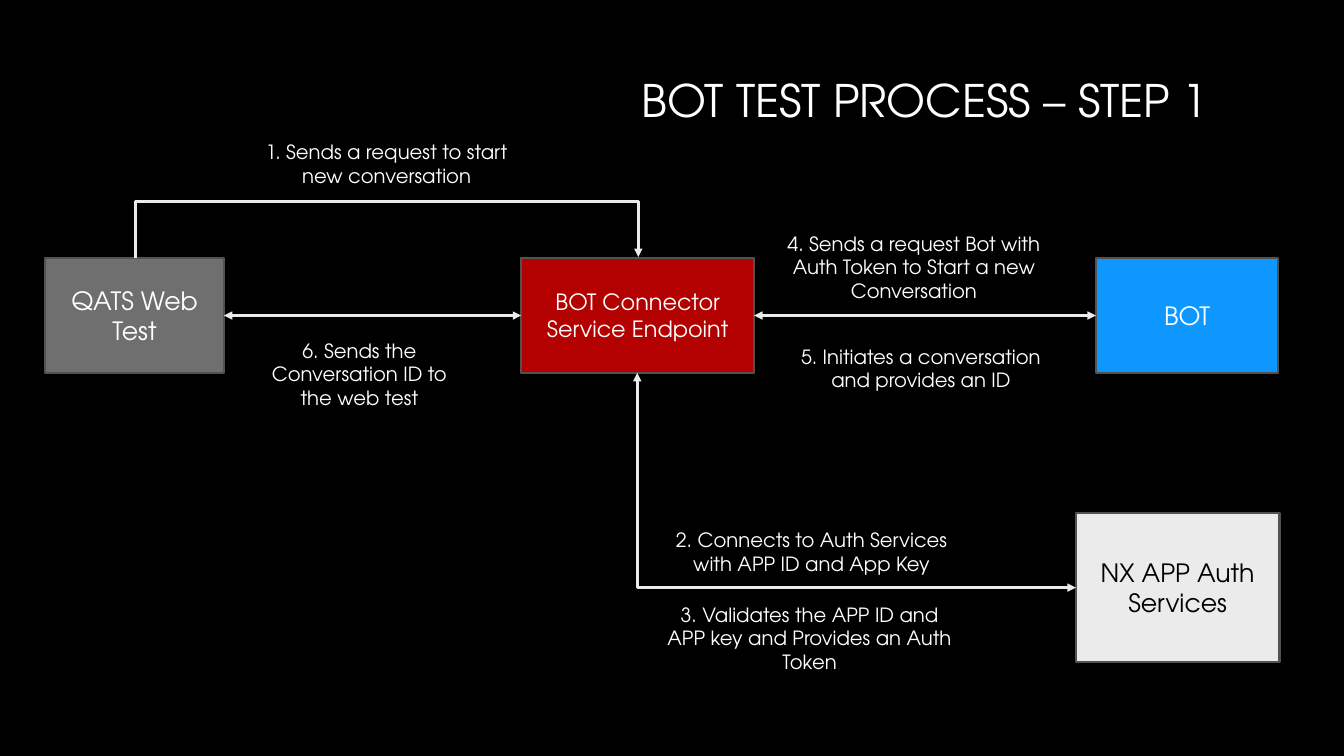
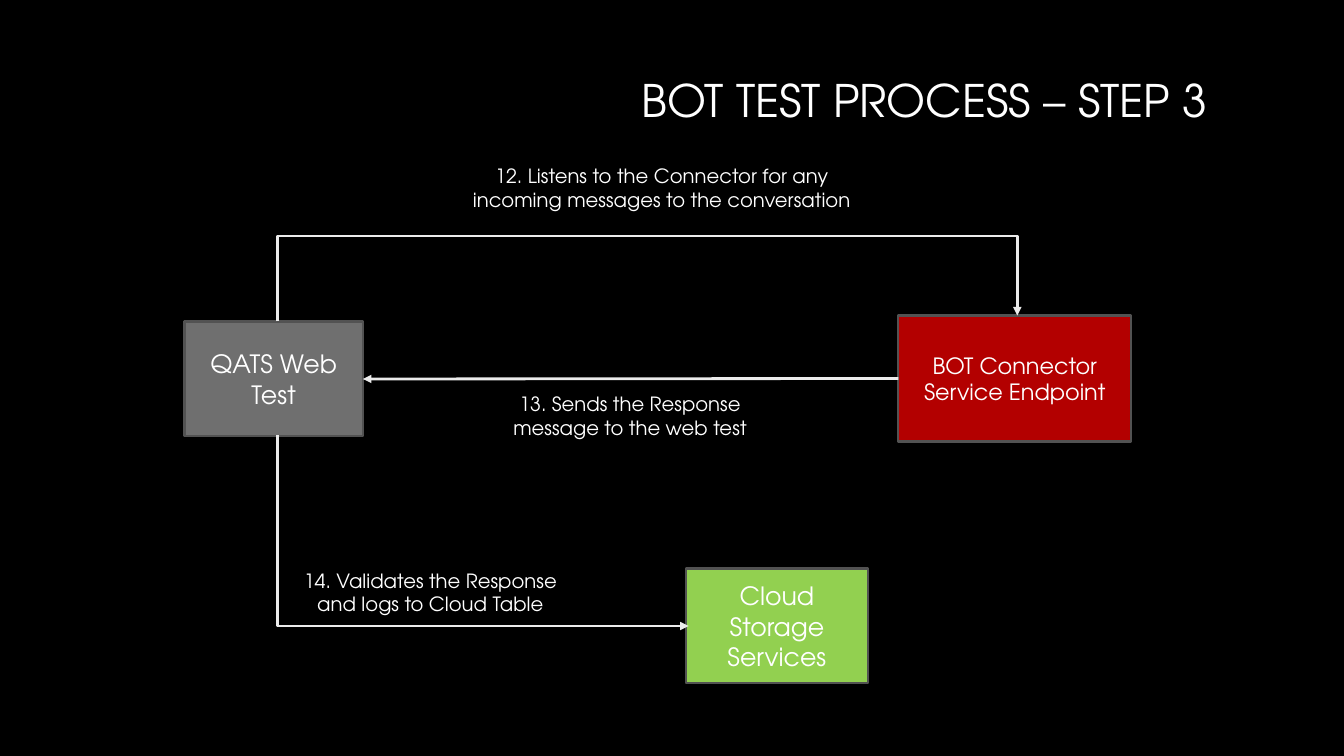
from lxml import etree
from pptx import Presentation
from pptx.dml.color import RGBColor
from pptx.enum.shapes import MSO_CONNECTOR, MSO_SHAPE
from pptx.enum.text import MSO_ANCHOR, PP_ALIGN
from pptx.oxml.ns import qn
from pptx.util import Inches, Pt

STRAIGHT, ELBOW = MSO_CONNECTOR.STRAIGHT, MSO_CONNECTOR.ELBOW
RECTANGLE = MSO_SHAPE.RECTANGLE
MIDDLE = MSO_ANCHOR.MIDDLE
CENTER, RIGHT = PP_ALIGN.CENTER, PP_ALIGN.RIGHT
LEFT_SIDE, RIGHT_SIDE = 1, 3

BLACK = RGBColor(0x00, 0x00, 0x00)
WHITE = RGBColor(0xFF, 0xFF, 0xFF)
GRAY = RGBColor(0x6F, 0x6F, 0x6F)
BORDER = RGBColor(0x52, 0x52, 0x52)
LIGHT = RGBColor(0xEB, 0xEB, 0xEB)
RED = RGBColor(0xFF, 0x00, 0x00)
BLUE = RGBColor(0x0D, 0x97, 0xFF)
GREEN = RGBColor(0x92, 0xD0, 0x50)

FONT = "TeX Gyre Adventor"
BOX_HEIGHT = 1.14
WEB_TEST = "QATS Web Test"


def write(frame, text, size, color=WHITE, align=CENTER):
    frame.word_wrap = True
    frame.text = text
    for paragraph in frame.paragraphs:
        paragraph.alignment = align
        for run in paragraph.runs:
            run.font.name = FONT
            run.font.size = Pt(size)
            run.font.color.rgb = color


def add_label(slide, text, left, top, width, height=0.57, size=14, align=CENTER):
    label = slide.shapes.add_textbox(*map(Inches, (left, top, width, height)))
    write(label.text_frame, text, size, align=align)


def add_titled_slide(deck, title):
    slide = deck.slides.add_slide(deck.slide_layouts[6])
    slide.background.fill.solid()
    slide.background.fill.fore_color.rgb = BLACK
    add_label(slide, title, 1.25, 0.67, 10.83, 1.03, size=32, align=RIGHT)
    return slide


def add_box(slide, text, left, top, width, fill, height=BOX_HEIGHT,
            size=18, color=WHITE):
    box = slide.shapes.add_shape(RECTANGLE, *map(Inches, (left, top, width, height)))
    box.shadow.inherit = False
    box.fill.solid()
    box.fill.fore_color.rgb = fill
    box.line.color.rgb = BORDER
    box.line.width = Pt(1.5)
    box.text_frame.vertical_anchor = MIDDLE
    write(box.text_frame, text, size, color)
    return box


def add_endpoint(slide, left, top, height=BOX_HEIGHT):
    """Add the translucent red box of the connector service."""
    endpoint = add_box(slide, "BOT Connector Service Endpoint", left, top, 2.31,
                       RED, height, size=16)
    color = endpoint.fill._xPr.find(qn("a:solidFill"))[0]
    etree.SubElement(color, qn("a:alpha"), val="70000")
    return endpoint


def style_arrow(arrow, both_ways):
    arrow.line.color.rgb = LIGHT
    arrow.line.width = Pt(2)
    outline = arrow.line._get_or_add_ln()
    for end in ("a:headEnd", "a:tailEnd") if both_ways else ("a:tailEnd",):
        etree.SubElement(outline, qn(end), type="triangle")
    etree.SubElement(arrow._element.spPr, qn("a:effectLst"))


def add_straight(slide, source, source_side, target, target_side, both_ways=False):
    arrow = slide.shapes.add_connector(STRAIGHT, 0, 0, 0, 0)
    arrow.begin_connect(source, source_side)
    arrow.end_connect(target, target_side)
    style_arrow(arrow, both_ways)


def add_bent(slide, start, end, preset, rotation, flips, adjust=None, both_ways=False):
    """Add an elbow that leaves its start vertically, so its frame is turned."""
    (x1, y1), (x2, y2) = start, end
    width, height = abs(y2 - y1), abs(x2 - x1)
    arrow = slide.shapes.add_connector(ELBOW, 0, 0, 0, 0)
    arrow.left = Inches((x1 + x2 - width) / 2)
    arrow.top = Inches((y1 + y2 - height) / 2)
    arrow.width, arrow.height = Inches(width), Inches(height)

    properties = arrow._element.spPr
    frame = properties.find(qn("a:xfrm"))
    frame.set("rot", str(rotation * 60000))
    for flip in flips:
        frame.set(flip, "1")
    geometry = properties.find(qn("a:prstGeom"))
    geometry.set("prst", preset)
    if adjust is not None:
        guides = geometry.find(qn("a:avLst"))
        if guides is None:
            guides = etree.SubElement(geometry, qn("a:avLst"))
        etree.SubElement(guides, qn("a:gd"), name="adj1",
                         fmla=f"val {round(adjust * 100000)}")
    style_arrow(arrow, both_ways)


def add_over(slide, start, end, crest):
    """Lead an arrow up to the crest, across, and down to a slightly higher end."""
    adjust = (start[1] - crest) / (start[1] - end[1])
    add_bent(slide, start, end, "bentConnector3", 90, ("flipH", "flipV"), adjust)


def add_down_right(slide, start, end, both_ways=False):
    add_bent(slide, start, end, "bentConnector2", 270, ("flipH",), both_ways=both_ways)


def build_step_1(deck):
    slide = add_titled_slide(deck, "BOT TEST PROCESS – STEP 1")
    row = 2.56
    web_test = add_box(slide, WEB_TEST, 0.45, row, 1.77, GRAY)
    endpoint = add_endpoint(slide, 5.17, row)
    bot = add_box(slide, "BOT", 10.87, row, 1.81, BLUE)
    add_box(slide, "NX APP Auth Services", 10.67, 5.09, 2.02, LIGHT, 1.48, color=BLACK)

    add_over(slide, (1.34, row), (6.33, 2.55), crest=1.99)
    add_down_right(slide, (6.32, row + BOX_HEIGHT), (10.67, 5.83), both_ways=True)
    add_straight(slide, endpoint, RIGHT_SIDE, bot, LEFT_SIDE, both_ways=True)
    add_straight(slide, endpoint, LEFT_SIDE, web_test, RIGHT_SIDE, both_ways=True)

    for label in (
        ("1. Sends a request to start new conversation", 2.38, 1.34, 2.91),
        ("2. Connects to Auth Services with APP ID and App Key", 6.39, 5.19, 3.32),
        ("3. Validates the APP ID and\nAPP key and Provides an Auth Token",
         6.37, 5.93, 3.32, 0.81),
        ("4. Sends a request Bot with Auth Token to Start a new Conversation",
         7.61, 2.25, 2.91, 0.81),
        ("5. Initiates a conversation and provides an ID", 7.68, 3.37, 2.91),
        ("6. Sends the Conversation ID to the web test", 2.54, 3.31, 2.05, 0.81),
    ):
        add_label(slide, *label)


def build_step_3(deck):
    slide = add_titled_slide(deck, "BOT TEST PROCESS – STEP 3")
    web_test = add_box(slide, WEB_TEST, 1.83, 3.19, 1.77, GRAY)
    endpoint = add_endpoint(slide, 8.91, 3.13, 1.25)
    add_box(slide, "Cloud Storage Services", 6.8, 5.64, 1.81, GREEN)

    add_over(slide, (2.75, 3.19), (10.09, 3.13), crest=2.34)
    add_straight(slide, endpoint, LEFT_SIDE, web_test, RIGHT_SIDE)
    add_down_right(slide, (2.75, 4.32), (6.83, 6.21))

    for label in (
        ("12. Listens to the Connector for any incoming messages to the conversation",
         4.45, 1.58, 4.23),
        ("13. Sends the Response message to the web test", 4.85, 3.84, 2.8),
        ("14. Validates the Response and logs to Cloud Table", 2.72, 5.59, 3.1),
    ):
        add_label(slide, *label)


def main():
    deck = Presentation()
    deck.slide_width, deck.slide_height = Inches(13.33), Inches(7.5)
    build_step_1(deck)
    build_step_3(deck)
    deck.save("out.pptx")


if __name__ == "__main__":
    main()
